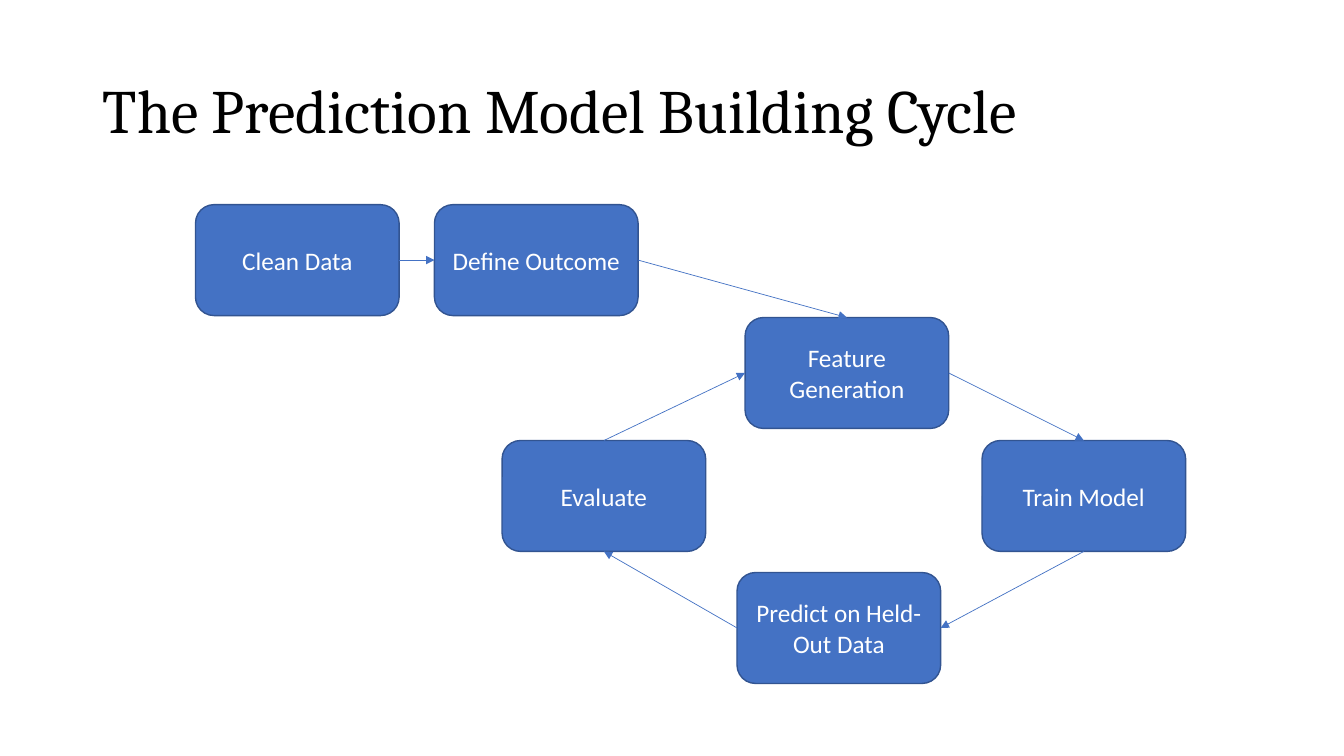
from dataclasses import dataclass

from lxml.etree import SubElement
from pptx import Presentation
from pptx.dml.color import RGBColor
from pptx.enum.shapes import MSO_CONNECTOR, MSO_SHAPE
from pptx.enum.text import MSO_ANCHOR, MSO_AUTO_SIZE, PP_ALIGN
from pptx.oxml.ns import qn
from pptx.util import Inches, Pt


@dataclass(frozen=True)
class Theme:
    """Colours, fonts and point sizes of the slide."""

    ink: str = "000000"
    paper: str = "FFFFFF"
    blue: str = "4472C4"
    edge: str = "325491"
    serif: str = "Cambria"
    sans: str = "Calibri"
    head: int = 44
    label: int = 18
    rim: float = 1
    wire: float = 0.5


def apply(item, form):
    """Set each attribute of item that form names."""
    for name, value in form.items():
        setattr(item, name, value)


class Board:
    """Draws on one slide, with places given in percent of its size."""

    def __init__(self, deck, theme):
        """Add a title slide to the deck and keep the theme."""
        self.deck, self.theme = deck, theme
        self.slide = deck.slides.add_slide(deck.slide_layouts[5])

    def place(self, left, top, width, height):
        """Turn percent shares into slide lengths."""
        wide, high = self.deck.slide_width, self.deck.slide_height
        pairs = (left, wide), (top, high), (width, wide), (height, high)
        return [round(share * full / 100) for share, full in pairs]

    def letter(self, shape, text, font, para):
        """Put formatted text, centred in height, into a shape."""
        frame = shape.text_frame
        frame.text = text
        apply(frame, {"word_wrap": True, "auto_size": MSO_AUTO_SIZE.NONE,
                      "vertical_anchor": MSO_ANCHOR.MIDDLE})
        line = frame.paragraphs[0]
        apply(line, para)
        name, size, colour = font
        run = line.runs[0].font
        apply(run, {"name": name, "size": Pt(size)})
        run.color.rgb = RGBColor.from_string(colour)

    def title(self, text, *area):
        """Fill and move the title placeholder."""
        look, shape = self.theme, self.slide.shapes.title
        apply(shape, dict(zip(("left", "top", "width", "height"), self.place(*area))))
        self.letter(shape, text, (look.serif, look.head, look.ink),
                    {"alignment": PP_ALIGN.LEFT, "line_spacing": 0.9})

    def stroke(self, line, colour, width):
        """Colour and size a line."""
        line.color.rgb = RGBColor.from_string(colour)
        line.width = Pt(width)

    def box(self, text, *area):
        """Add a rounded box with a label."""
        look = self.theme
        shape = self.slide.shapes.add_shape(MSO_SHAPE.ROUNDED_RECTANGLE, *self.place(*area))
        shape.shadow.inherit = False
        shape.fill.solid()
        shape.fill.fore_color.rgb = RGBColor.from_string(look.blue)
        self.stroke(shape.line, look.edge, look.rim)
        self.letter(shape, text, (look.sans, look.label, look.paper),
                    {"alignment": PP_ALIGN.CENTER})
        return shape

    def arrow(self, start, out, end, into):
        """Join two boxes, from one side to another, with an arrow."""
        link = self.slide.shapes.add_connector(MSO_CONNECTOR.STRAIGHT, 0, 0, 0, 0)
        link.begin_connect(start, out)
        link.end_connect(end, into)
        self.stroke(link.line, self.theme.blue, self.theme.wire)
        props = link._element.spPr
        SubElement(props.find(qn("a:ln")), qn("a:tailEnd"), type="triangle")
        SubElement(props, qn("a:effectLst"))


TOP, LEFT, BOTTOM, RIGHT = range(4)
SIZE = 15.15, 14.67
STEPS = {
    "Clean Data": (14.55, 27.07),
    "Define Outcome": (32.33, 27.07),
    "Feature Generation": (55.44, 42),
    "Train Model": (73.07, 58.27),
    "Predict on Held-Out Data": (54.84, 75.73),
    "Evaluate": (37.36, 58.27),
}
SIDES = [(RIGHT, LEFT), (RIGHT, TOP), (RIGHT, TOP),
         (BOTTOM, RIGHT), (LEFT, BOTTOM), (TOP, LEFT)]


def main():
    """Build the slide and save it."""
    deck = Presentation()
    apply(deck, {"slide_width": Inches(13.33), "slide_height": Inches(7.5)})
    board = Board(deck, Theme())
    board.title("The Prediction Model Building Cycle", 6.9, 5.33, 86.27, 19.33)
    boxes = [board.box(text, *spot, *SIZE) for text, spot in STEPS.items()]
    ends = boxes[1:] + [boxes[2]]
    for start, end, (out, into) in zip(boxes, ends, SIDES):
        board.arrow(start, out, end, into)
    deck.save("out.pptx")


if __name__ == "__main__":
    main()
